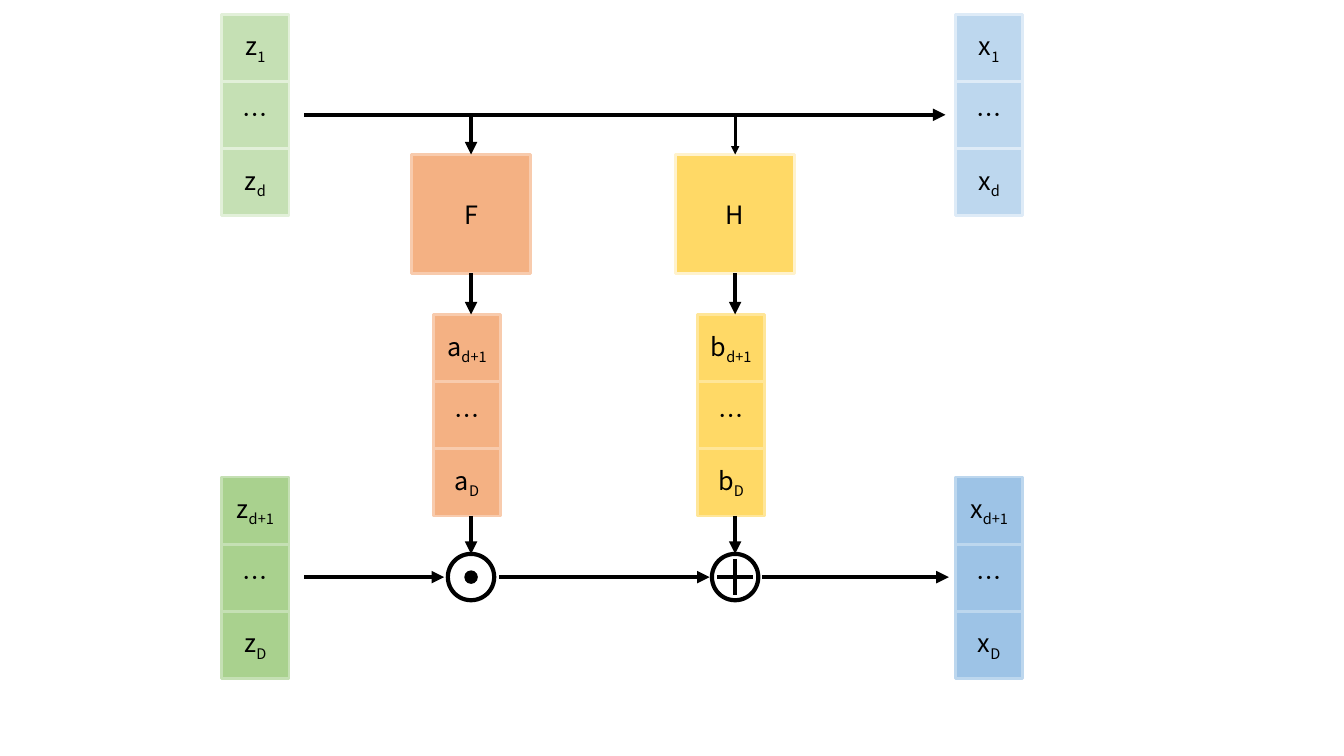
"""Affine coupling layer: z passes through F and H to become x."""
from dataclasses import dataclass

from lxml import etree
from pptx import Presentation
from pptx.dml.color import RGBColor
from pptx.enum import shapes, text
from pptx.oxml import ns
from pptx.util import Inches, Pt

FONT = "Noto Sans CJK SC"
COLORS = {
    "ink": "000000", "paper": "FFFFFF",
    "z_top": "C5E0B4", "z_top_edge": "E2F0D9",
    "z_bottom": "A9D18E", "z_bottom_edge": "C5E0B4",
    "x_top": "BDD7EE", "x_top_edge": "DEEBF7",
    "x_bottom": "9DC3E6", "x_bottom_edge": "BDD7EE",
    "scale": "F4B183", "scale_edge": "F8CBAD",
    "shift": "FFD966", "shift_edge": "FFE699", "shift_box_edge": "FFF2CC",
}

deck = Presentation()
deck.slide_width, deck.slide_height = Inches(13.33), Inches(7.5)
slide = deck.slides.add_slide(deck.slide_layouts[6])

# The grid has 20 square columns; all positions below are in its cells.
CELL = deck.slide_width / 20
Z, F, H, X = 3.8, 7.01, 10.94, 14.72
TOP_ROW, MIDDLE_ROW, BOTTOM_ROW = 0.21, 4.68, 7.1
UPPER_FLOW, LOWER_FLOW = TOP_ROW + 1.5, BOTTOM_ROW + 1.49
BOX_ROW, BOX_SIZE = 2.3, 1.77
RING_SIZE, DOT_SIZE = 0.69, 0.18
RING_TOP = LOWER_FLOW - RING_SIZE / 2


@dataclass
class Stack:
    """Three cells of one vector, centred on a column."""
    center: float
    top: float
    letter: str
    first: str
    last: str
    color: str


@dataclass
class Network:
    """A function box, the vector it yields and the column it stands on."""
    center: float
    name: str
    letter: str
    color: str
    edge: str
    feed_width: float


@dataclass
class Flow:
    """A straight line between two grid points."""
    x1: float
    y1: float
    x2: float
    y2: float
    width: float = 3
    arrow: bool = True


def cells(count: float) -> int:
    """Turn a number of grid cells into a length."""
    return round(count * CELL)


def rgb(name: str) -> RGBColor:
    """Look up a named colour."""
    return RGBColor.from_string(COLORS[name])


def write(shape, base: str, subscript: str = "", *, size: float = 18,
          color: str = "ink") -> None:
    """Write centred text with an optional subscript into a shape."""
    frame = shape.text_frame
    frame.word_wrap = True
    frame.margin_left = frame.margin_right = 0
    frame.vertical_anchor = text.MSO_ANCHOR.MIDDLE
    line = frame.paragraphs[0]
    line.alignment = text.PP_ALIGN.CENTER
    for words, offset in ((base, None), (subscript, "-25000")):
        if not words:
            continue
        run = line.add_run()
        run.text = words
        run.font.size, run.font.name = Pt(size), FONT
        run.font.color.rgb = rgb(color)
        properties = run.font._element
        properties.set("lang", "zh-CN")
        etree.SubElement(properties, ns.qn("a:ea"), typeface=FONT)
        if offset:
            properties.set("baseline", offset)


def draw_figure(kind, center: float, top: float, size: float, fill: str,
                edge: str, width: float = 2):
    """Draw a square or circle centred on a column."""
    figure = slide.shapes.add_shape(
        kind, cells(center - size / 2), cells(top), cells(size), cells(size))
    figure.shadow.inherit = False
    figure.fill.solid()
    figure.fill.fore_color.rgb = rgb(fill)
    figure.line.color.rgb = rgb(edge)
    figure.line.width = Pt(width)
    return figure


def draw_stack(stack: Stack) -> None:
    """Draw the first, omitted and last entries of a vector."""
    entries = ((stack.letter, stack.first), ("…", ""), (stack.letter, stack.last))
    for row, entry in enumerate(entries):
        square = draw_figure(shapes.MSO_SHAPE.RECTANGLE, stack.center, stack.top + row,
                             1, stack.color, stack.color + "_edge")
        write(square, *entry)


def draw_flow(flow: Flow) -> None:
    """Draw a line, with an arrowhead at its end if asked."""
    link = slide.shapes.add_connector(
        shapes.MSO_CONNECTOR.STRAIGHT,
        *(cells(place) for place in (flow.x1, flow.y1, flow.x2, flow.y2)))
    link.line.color.rgb = rgb("ink")
    link.line.width = Pt(flow.width)
    if flow.arrow:
        etree.SubElement(link.line._get_or_add_ln(), ns.qn("a:tailEnd"), type="triangle")
    etree.SubElement(link._element.spPr, ns.qn("a:effectLst"))


def draw_network(network: Network) -> None:
    """Draw one branch from the upper flow down to its operator ring."""
    center, box_bottom = network.center, BOX_ROW + BOX_SIZE
    box = draw_figure(shapes.MSO_SHAPE.RECTANGLE, center, BOX_ROW, BOX_SIZE,
                      network.color, network.edge)
    write(box, network.name)
    draw_stack(Stack(center - 0.06, MIDDLE_ROW, network.letter, "d+1", "D", network.color))
    draw_flow(Flow(center, UPPER_FLOW, center, BOX_ROW, network.feed_width))
    draw_flow(Flow(center, box_bottom, center, MIDDLE_ROW))
    draw_flow(Flow(center, MIDDLE_ROW + 3, center, RING_TOP))
    draw_figure(shapes.MSO_SHAPE.OVAL, center, RING_TOP, RING_SIZE, "paper", "ink", 3)


STACKS = [
    Stack(Z, TOP_ROW, "z", "1", "d", "z_top"),
    Stack(Z, BOTTOM_ROW, "z", "d+1", "D", "z_bottom"),
    Stack(X, TOP_ROW, "x", "1", "d", "x_top"),
    Stack(X, BOTTOM_ROW, "x", "d+1", "D", "x_bottom"),
]
NETWORKS = [
    Network(F, "F", "a", "scale", "scale_edge", 3),
    Network(H, "H", "b", "shift", "shift_box_edge", 2),
]
PLUS_ARM = 0.27
FLOWS = [
    Flow(Z + 0.73, UPPER_FLOW, X - 0.65, UPPER_FLOW),
    Flow(Z + 0.73, LOWER_FLOW, F - 0.4, LOWER_FLOW),
    Flow(F + 0.42, LOWER_FLOW, H - 0.38, LOWER_FLOW),
    Flow(H + 0.4, LOWER_FLOW, X - 0.6, LOWER_FLOW),
    Flow(H - PLUS_ARM, LOWER_FLOW, H + PLUS_ARM, LOWER_FLOW, arrow=False),
    Flow(H, LOWER_FLOW - PLUS_ARM, H, LOWER_FLOW + PLUS_ARM, arrow=False),
]

for vector in STACKS:
    draw_stack(vector)
for branch in NETWORKS:
    draw_network(branch)
for route in FLOWS:
    draw_flow(route)
draw_figure(shapes.MSO_SHAPE.OVAL, F, LOWER_FLOW - DOT_SIZE / 2, DOT_SIZE, "ink", "ink", 1)

deck.save("out.pptx")
